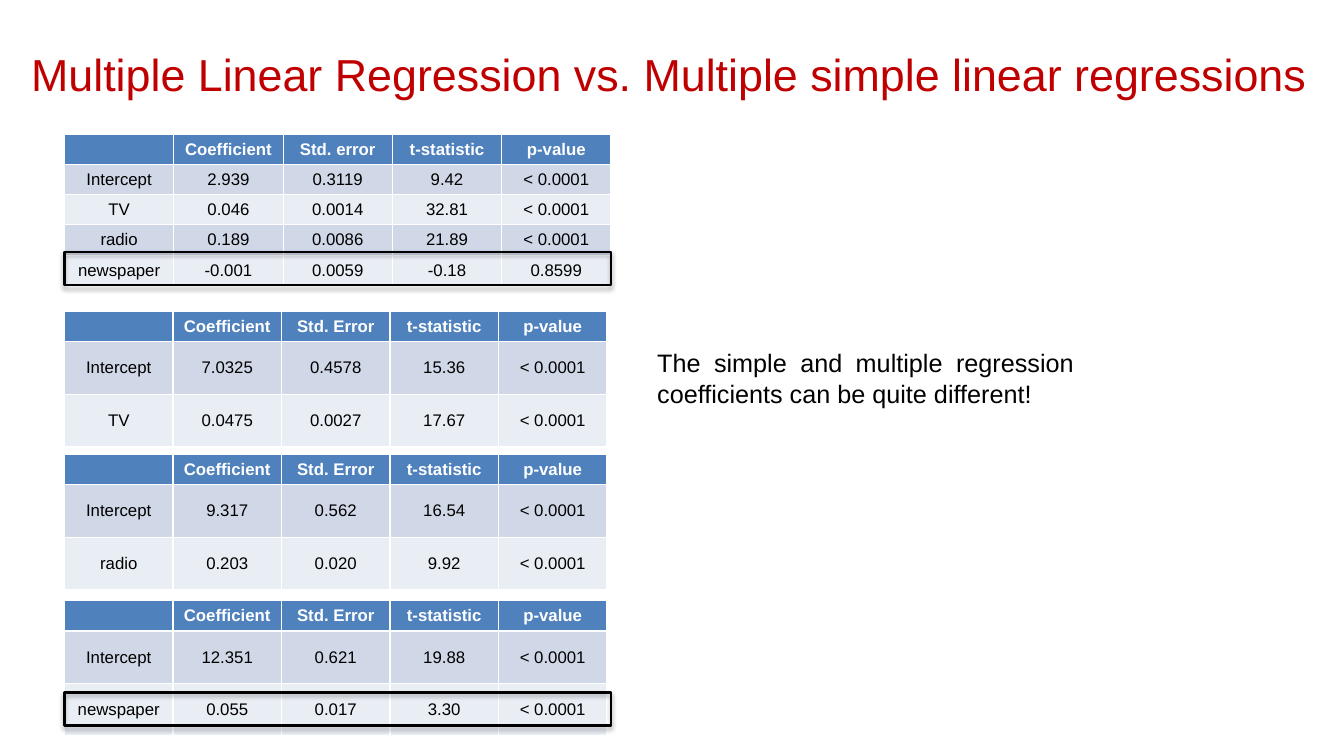
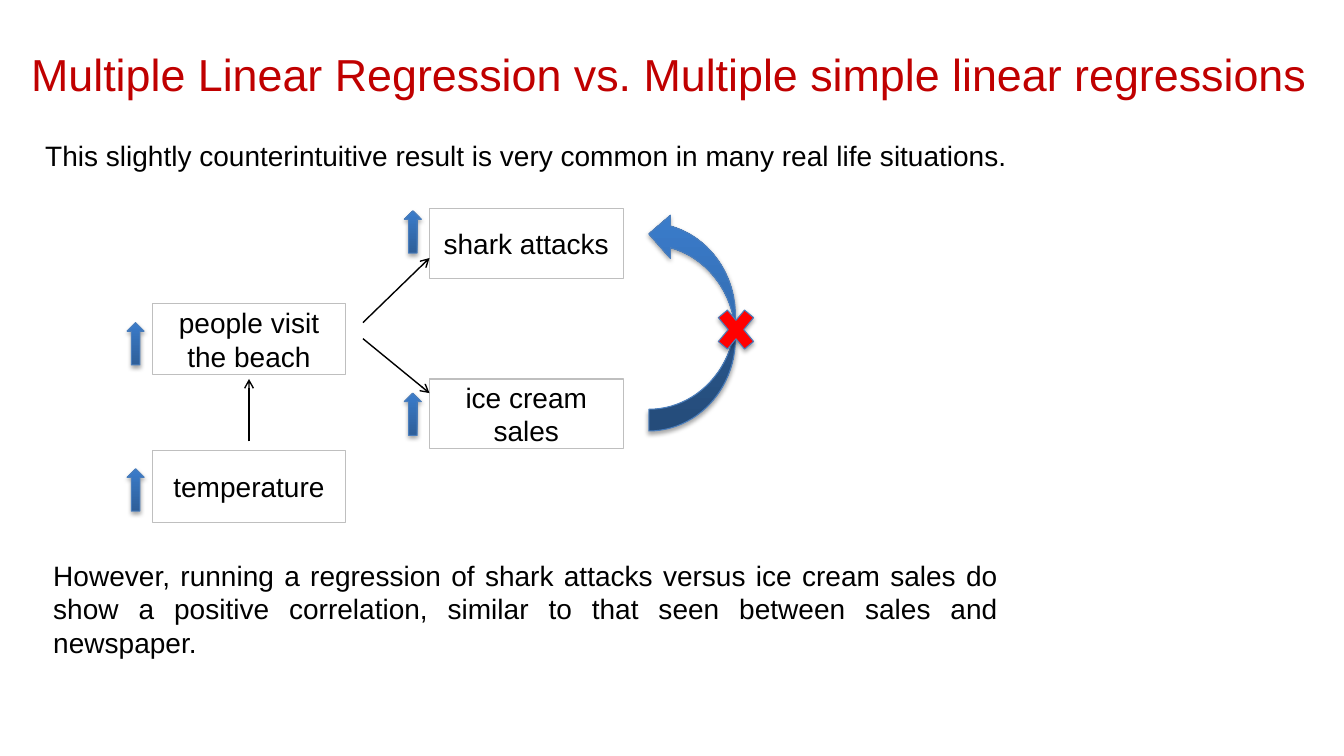
from dataclasses import dataclass

from lxml import etree
from pptx import Presentation
from pptx.dml.color import RGBColor
from pptx.enum.shapes import MSO_CONNECTOR, MSO_SHAPE
from pptx.enum.text import MSO_ANCHOR, MSO_AUTO_SIZE, PP_ALIGN
from pptx.oxml.ns import qn
from pptx.util import Inches, Pt

LEFT, CENTER, JUSTIFY = PP_ALIGN.LEFT, PP_ALIGN.CENTER, PP_ALIGN.JUSTIFY
MIDDLE = MSO_ANCHOR.MIDDLE
GROW = MSO_AUTO_SIZE.SHAPE_TO_FIT_TEXT
RECTANGLE, UP_ARROW = MSO_SHAPE.RECTANGLE, MSO_SHAPE.UP_ARROW
CURVED_ARROW, CROSS = MSO_SHAPE.CURVED_UP_ARROW, MSO_SHAPE.MATH_MULTIPLY
STRAIGHT = MSO_CONNECTOR.STRAIGHT


@dataclass(frozen=True)
class Theme:
    font: str = "Arial"
    title: RGBColor = RGBColor(0xC0, 0x00, 0x00)
    text: RGBColor = RGBColor(0x00, 0x00, 0x00)
    white: RGBColor = RGBColor(0xFF, 0xFF, 0xFF)
    header: RGBColor = RGBColor(0x4F, 0x81, 0xBD)
    bands: tuple = (RGBColor(0xD0, 0xD8, 0xE8), RGBColor(0xE9, 0xED, 0xF4))
    box_line: RGBColor = RGBColor(0xBF, 0xBF, 0xBF)
    arrow_line: RGBColor = RGBColor(0x4B, 0x7E, 0xBC)
    arrow_dark: RGBColor = RGBColor(0x2F, 0x5F, 0x99)
    arrow_light: RGBColor = RGBColor(0x3A, 0x7C, 0xCB)
    cross: RGBColor = RGBColor(0xFF, 0x00, 0x00)
    title_size: Pt = Pt(32)
    body_size: Pt = Pt(20)
    remark_size: Pt = Pt(18)
    table_size: Pt = Pt(12)


theme = Theme()


def style_paragraph(paragraph, text, size, color, alignment, bold=False):
    paragraph.text = text
    paragraph.alignment = alignment
    paragraph.font.name = theme.font
    paragraph.font.size = size
    paragraph.font.color.rgb = color
    paragraph.font.bold = bold


def add_text(slide, text, left, top, width, height, size, color=theme.text, alignment=LEFT):
    box = slide.shapes.add_textbox(Inches(left), Inches(top), Inches(width), Inches(height))
    box.text_frame.word_wrap = True
    box.text_frame.auto_size = GROW
    style_paragraph(box.text_frame.paragraphs[0], text, size, color, alignment)


presentation = Presentation()
presentation.slide_width = Inches(13.33)
presentation.slide_height = Inches(7.5)
blank = presentation.slide_layouts[6]
tables_slide, beach_slide = [presentation.slides.add_slide(blank) for _ in range(2)]

for slide in (tables_slide, beach_slide):
    add_text(slide, "Multiple Linear Regression vs. Multiple simple linear regressions",
             0.21, 0.41, 13.12, 0.74, theme.title_size, theme.title)

table_left = 0.64
header_height = 0.29
regressions = [
    (1.33, 5.42, 0.29, "Std. error", [
        ("Intercept", "2.939", "0.3119", "9.42", "< 0.0001"),
        ("TV", "0.046", "0.0014", "32.81", "< 0.0001"),
        ("radio", "0.189", "0.0086", "21.89", "< 0.0001"),
        ("newspaper", "-0.001", "0.0059", "-0.18", "0.8599"),
    ]),
    (3.09, 5.38, 0.52, "Std. Error", [
        ("Intercept", "7.0325", "0.4578", "15.36", "< 0.0001"),
        ("TV", "0.0475", "0.0027", "17.67", "< 0.0001"),
    ]),
    (4.51, 5.38, 0.52, "Std. Error", [
        ("Intercept", "9.317", "0.562", "16.54", "< 0.0001"),
        ("radio", "0.203", "0.020", "9.92", "< 0.0001"),
    ]),
    (5.96, 5.38, 0.52, "Std. Error", [
        ("Intercept", "12.351", "0.621", "19.88", "< 0.0001"),
        ("newspaper", "0.055", "0.017", "3.30", "< 0.0001"),
    ]),
]
for top, width, row_height, error_label, data in regressions:
    rows = [("", "Coefficient", error_label, "t-statistic", "p-value"), *data]
    height = header_height + row_height * len(data)
    table = tables_slide.shapes.add_table(
        len(rows), len(rows[0]), Inches(table_left), Inches(top), Inches(width), Inches(height)).table
    for row_index, values in enumerate(rows):
        is_header = row_index == 0
        table.rows[row_index].height = Inches(header_height if is_header else row_height)
        for column_index, value in enumerate(values):
            cell = table.cell(row_index, column_index)
            cell.vertical_anchor = MIDDLE
            cell.fill.solid()
            cell.fill.fore_color.rgb = theme.header if is_header else theme.bands[(row_index - 1) % 2]
            style_paragraph(cell.text_frame.paragraphs[0], value, theme.table_size,
                            theme.white if is_header else theme.text, CENTER, is_header)

for top in (2.5, 6.87):
    frame = tables_slide.shapes.add_shape(
        RECTANGLE, Inches(table_left), Inches(top), Inches(5.42), Inches(0.33))
    frame.fill.background()
    frame.line.color.rgb = theme.text
    frame.line.width = Pt(1.75)

add_text(tables_slide, "The simple and multiple regression coefficients can be quite different!",
         6.42, 3.4, 4.33, 0.71, theme.remark_size, alignment=JUSTIFY)

add_text(beach_slide,
         "This slightly counterintuitive result is very common in many real life situations.",
         0.35, 1.33, 10.24, 0.44, theme.body_size)

events = [
    ("people visit the beach", 1.51, 3.01, 0.71),
    ("shark attacks", 4.26, 2.07, 0.69),
    ("ice cream sales", 4.26, 3.76, 0.69),
    ("temperature", 1.51, 4.47, 0.71),
]
for text, left, top, height in events:
    event = beach_slide.shapes.add_shape(
        RECTANGLE, Inches(left), Inches(top), Inches(1.92), Inches(height))
    event.shadow.inherit = False
    event.fill.background()
    event.line.color.rgb = theme.box_line
    event.line.width = Pt(0.75)
    event.text_frame.word_wrap = True
    event.text_frame.vertical_anchor = MIDDLE
    style_paragraph(event.text_frame.paragraphs[0], text, theme.body_size, theme.text, CENTER)

causes = [
    (3.6, 3.2, 4.26, 2.56),
    (3.6, 3.36, 4.26, 3.9),
    (2.47, 4.38, 2.47, 3.76),
]
for ends in causes:
    cause = beach_slide.shapes.add_connector(STRAIGHT, *[Inches(value) for value in ends])
    cause.line.color.rgb = theme.text
    cause.line.width = Pt(1)
    etree.SubElement(cause.line._get_or_add_ln(), qn("a:tailEnd"), type="arrow")
    etree.SubElement(cause._element.spPr, qn("a:effectLst"))

blue_arrows = [
    (UP_ARROW, 1.26, 3.2, 0.17, 0.42, 0),
    (UP_ARROW, 4.01, 2.09, 0.17, 0.42, 0),
    (UP_ARROW, 4.01, 3.9, 0.17, 0.42, 0),
    (UP_ARROW, 1.26, 4.65, 0.17, 0.42, 0),
    (CURVED_ARROW, 5.78, 2.76, 2.17, 0.86, 270),
]
for preset, left, top, width, height, rotation in blue_arrows:
    arrow = beach_slide.shapes.add_shape(
        preset, Inches(left), Inches(top), Inches(width), Inches(height))
    arrow.rotation = rotation
    arrow.fill.gradient()
    arrow.fill.gradient_angle = 90
    for stop, color in zip(arrow.fill.gradient_stops, (theme.arrow_dark, theme.arrow_light)):
        stop.color.rgb = color
    arrow._element.spPr.find(qn("a:gradFill")).set("rotWithShape", "0")
    arrow.line.color.rgb = theme.arrow_line
    arrow.line.width = Pt(0.75)

cross = beach_slide.shapes.add_shape(CROSS, Inches(7.05), Inches(2.97), Inches(0.5), Inches(0.6))
cross.fill.solid()
cross.fill.fore_color.rgb = theme.cross
cross.line.color.rgb = theme.arrow_line
cross.line.width = Pt(0.75)

add_text(beach_slide,
         "However, running a regression of shark attacks versus ice cream sales do show a positive "
         "correlation, similar to that seen between sales and newspaper.",
         0.43, 5.49, 9.57, 1.11, theme.body_size, alignment=JUSTIFY)

presentation.save("out.pptx")
